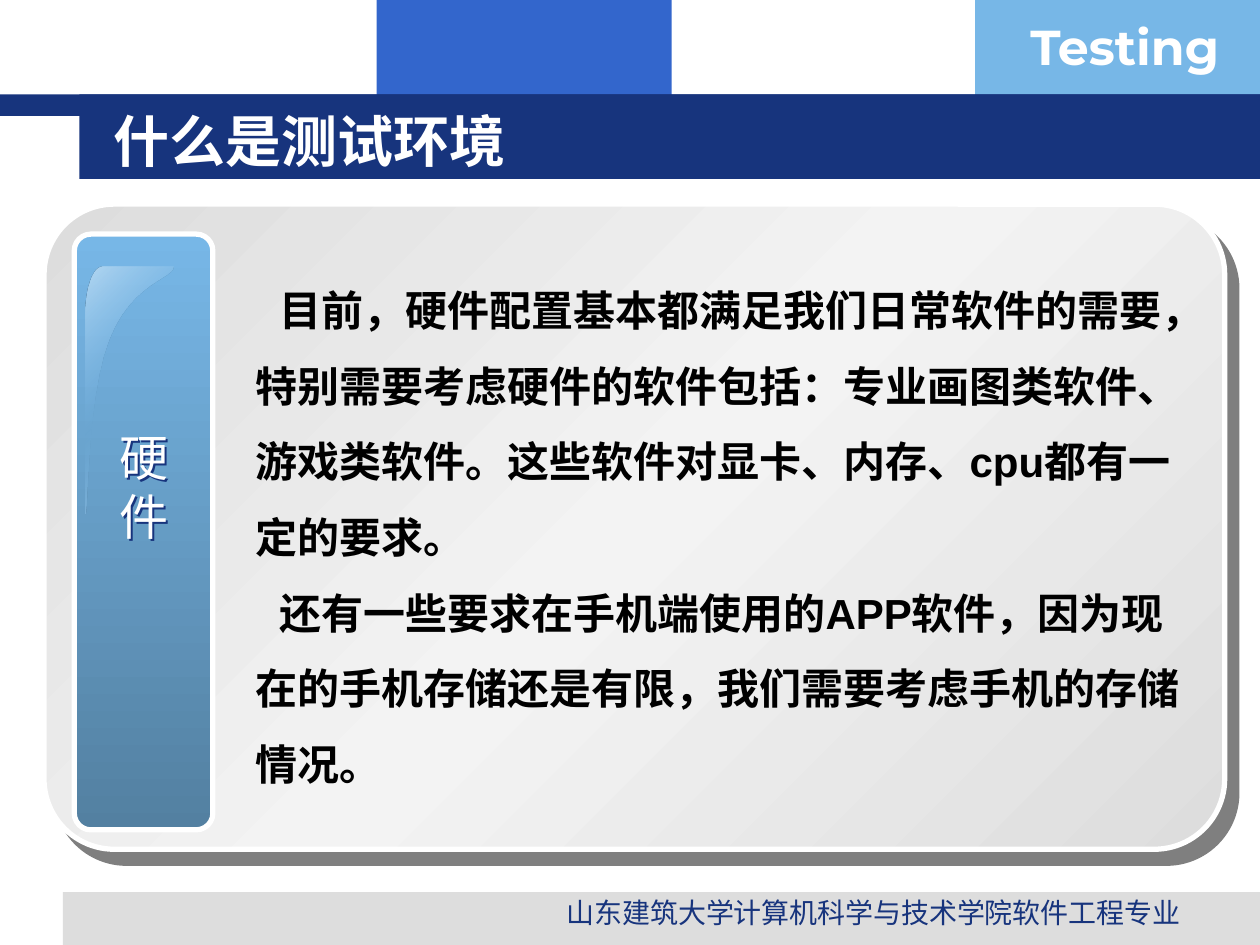
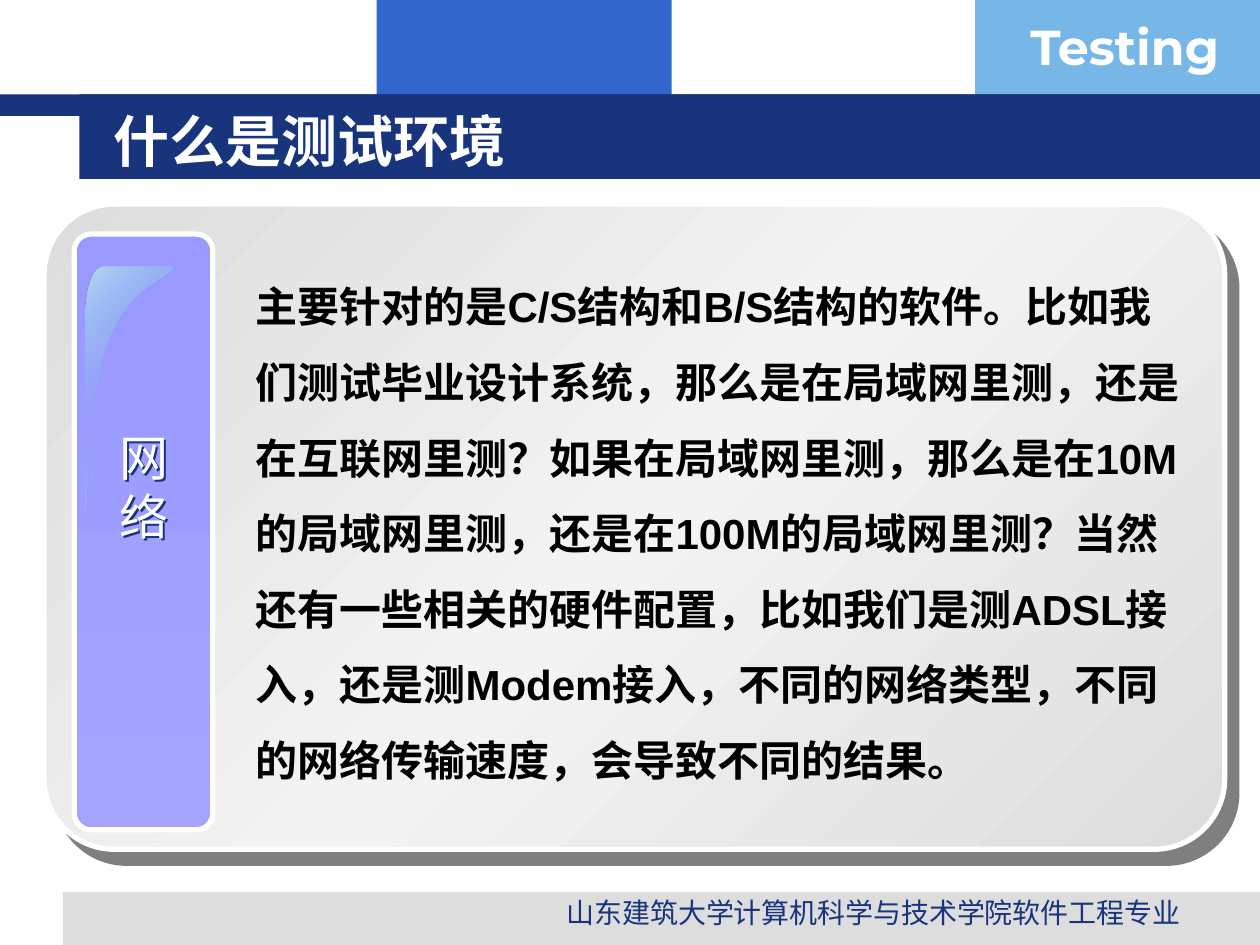
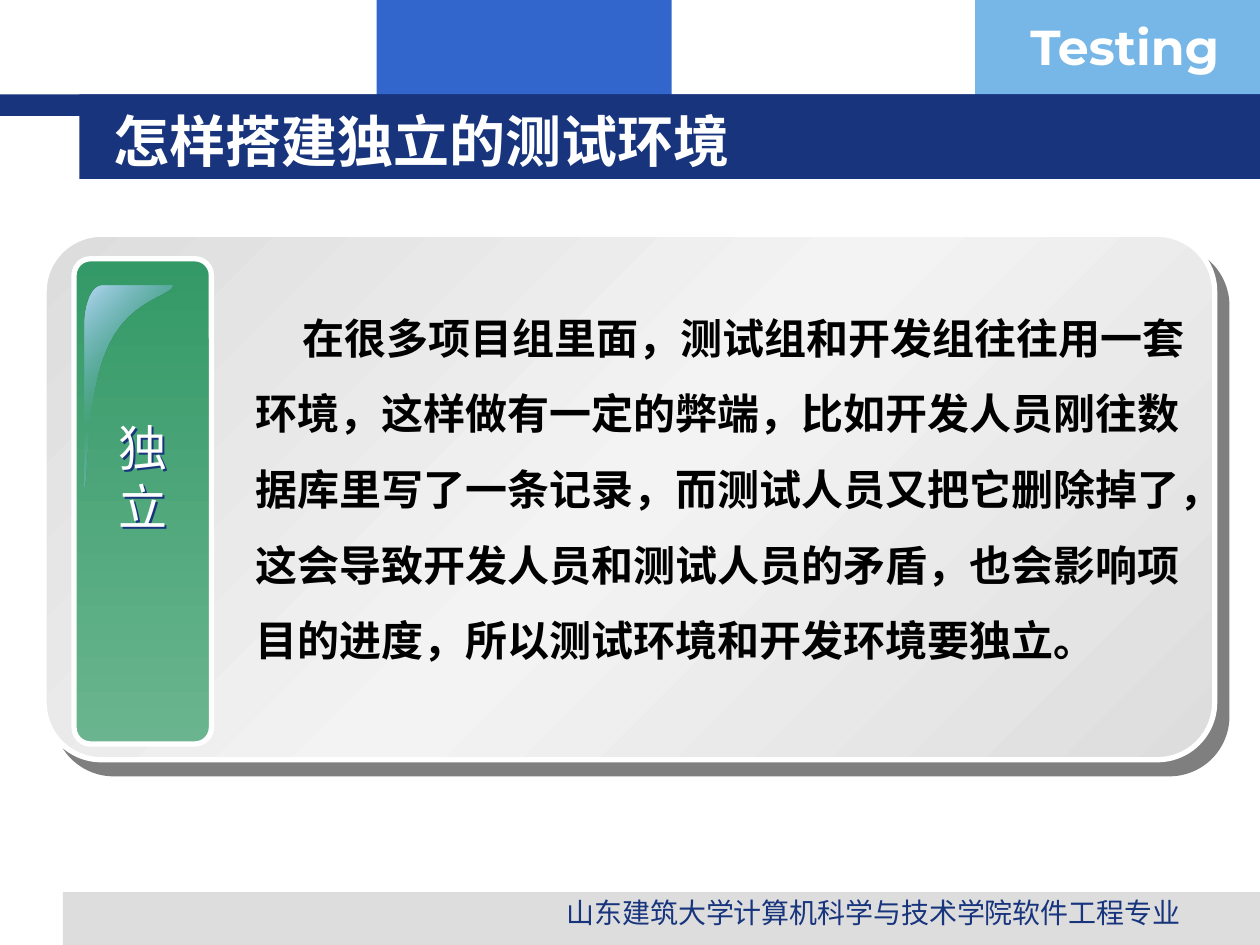
from collections import namedtuple

from lxml import etree
from pptx import Presentation
from pptx.dml.color import RGBColor
from pptx.enum.shapes import MSO_SHAPE
from pptx.enum.text import MSO_ANCHOR, PP_ALIGN
from pptx.oxml.ns import qn
from pptx.util import Inches, Pt

RECTANGLE, ROUNDED = MSO_SHAPE.RECTANGLE, MSO_SHAPE.ROUNDED_RECTANGLE
LEFT, CENTER = PP_ALIGN.LEFT, PP_ALIGN.CENTER
TOP, MIDDLE = MSO_ANCHOR.TOP, MSO_ANCHOR.MIDDLE

NAVY = RGBColor(0x17, 0x34, 0x7D)
BLUE = RGBColor(0x33, 0x66, 0xCC)
SKY = RGBColor(0x77, 0xB7, 0xE7)
SKY_DARK = RGBColor(0x53, 0x80, 0xA1)
SKY_LIGHT = RGBColor(0xB5, 0xD8, 0xF2)
VIOLET = RGBColor(0x99, 0x99, 0xFF)
VIOLET_LIGHT = RGBColor(0xA4, 0xA4, 0xFF)
GREEN = RGBColor(0x33, 0x99, 0x66)
GREEN_LIGHT = RGBColor(0x6A, 0xB5, 0x8F)
GRAY = RGBColor(0xDD, 0xDD, 0xDD)
GRAY_LIGHT = RGBColor(0xF3, 0xF3, 0xF3)
WHITE = RGBColor(0xFF, 0xFF, 0xFF)
BLACK = RGBColor(0, 0, 0)

BODY_FONT, TITLE_FONT, BRAND_FONT = "Arial", "DejaVu Sans", "Montserrat"
FOOTER = "山东建筑大学计算机科学与技术学院软件工程专业"

Box = namedtuple("Box", "left top width height")
Style = namedtuple("Style", "size font color bold", defaults=(False,))
BODY_STYLE = Style(24, BODY_FONT, BLACK, True)
LABEL_STYLE = Style(28, BODY_FONT, WHITE)

BANDS = [
    (Box(2.99, 0, 2.34, 0.92), BLUE),
    (Box(7.74, 0, 2.26, 0.92), SKY),
    (Box(0.5, 7.08, 9.5, 0.42), GRAY),
    (Box(0, 0.75, 10, 0.17), NAVY),
    (Box(0.63, 0.75, 9.37, 0.67), NAVY),
]

# Panel parts as fractions of the panel box
BAR_PART = Box(0.03, 0.05, 0.12, 0.92)._replace(left=0.0256, top=0.0465, width=0.1174, height=0.9235)
GLOSS_PART = Box(0.035, 0.097, 0.0755, 0.392)
LABEL_PART = Box(0.051, 0.337, 0.067, 0.2)

# Gloss outline as fractions of its box: one point is a line, three are a curve
GLOSS_START = (0.2, 0)
GLOSS_PIECES = [
    [(0.08, 0), (0, 0.09), (0, 0.19)],
    [(0, 0.98)],
    [(0.04, 1), (0.01, 0.52), (0.27, 0.29)],
    [(0.52, 0.06), (1, 0.05), (0.99, 0)],
]
CURVE_STEPS = 12

SLIDES = [
    dict(
        title="什么是测试环境", label="硬件", colors=(SKY, SKY_DARK),
        panel=Box(0.35, 1.62, 9.37, 5.12), body=Box(1.93, 2.01, 7.72, 4.3), indent=0.19,
        paragraphs=[
            "目前，硬件配置基本都满足我们日常软件的需要，特别需要考虑硬件的软件包括："
            "专业画图类软件、游戏类软件。这些软件对显卡、内存、cpu都有一定的要求。",
            "还有一些要求在手机端使用的APP软件，因为现在的手机存储还是有限，"
            "我们需要考虑手机的存储情况。",
        ],
    ),
    dict(
        title="什么是测试环境", label="网络", colors=(VIOLET, VIOLET_LIGHT),
        panel=Box(0.35, 1.62, 9.37, 5.12), body=Box(1.93, 1.98, 7.64, 4.3), indent=0,
        paragraphs=[
            "主要针对的是C/S结构和B/S结构的软件。比如我们测试毕业设计系统，"
            "那么是在局域网里测，还是在互联网里测？如果在局域网里测，"
            "那么是在10M的局域网里测，还是在100M的局域网里测？"
            "当然还有一些相关的硬件配置，比如我们是测ADSL接入，还是测Modem接入，"
            "不同的网络类型，不同的网络传输速度，会导致不同的结果。",
        ],
    ),
    dict(
        title="怎样搭建独立的测试环境", label="独立", colors=(GREEN, GREEN_LIGHT),
        panel=Box(0.35, 1.86, 9.29, 4.17), body=Box(1.93, 2.23, 7.64, 3.1), indent=0.37,
        paragraphs=[
            "在很多项目组里面，测试组和开发组往往用一套环境，这样做有一定的弊端，"
            "比如开发人员刚往数据库里写了一条记录，而测试人员又把它删除掉了，"
            "这会导致开发人员和测试人员的矛盾，也会影响项目的进度，"
            "所以测试环境和开发环境要独立。",
        ],
    ),
]


def inches(box):
    return [Inches(length) for length in box]


def part_of(box, part):
    return Box(box.left + part.left * box.width, box.top + part.top * box.height,
               part.width * box.width, part.height * box.height)


def add_color(parent, color, alpha):
    element = etree.SubElement(parent, qn("a:srgbClr"), val=str(color))
    if alpha < 100:
        etree.SubElement(element, qn("a:alpha"), val=str(alpha * 1000))


def set_gradient(shape, stops, angle):
    """Fill with stops of (position, colour, opacity), both in percent."""
    shape.fill.background()
    properties = shape._element.spPr
    gradient = etree.Element(qn("a:gradFill"), rotWithShape="1")
    stop_list = etree.SubElement(gradient, qn("a:gsLst"))
    for position, color, alpha in stops:
        stop = etree.SubElement(stop_list, qn("a:gs"), pos=str(position * 1000))
        add_color(stop, color, alpha)
    etree.SubElement(gradient, qn("a:lin"), ang=str(angle * 60000), scaled="0")
    properties.replace(properties.find(qn("a:noFill")), gradient)


def set_shadow(shape, color, alpha, distance, angle):
    shape.shadow.inherit = False
    effects = shape._element.spPr.find(qn("a:effectLst"))
    shadow = etree.SubElement(effects, qn("a:outerShdw"), blurRad="0",
                              dist=str(Pt(distance)), dir=str(angle * 60000),
                              algn="ctr", rotWithShape="0")
    add_color(shadow, color, alpha)


def add_band(slide, box, color):
    band = slide.shapes.add_shape(RECTANGLE, *inches(box))
    band.shadow.inherit = False
    band.fill.solid()
    band.fill.fore_color.rgb = color
    band.line.fill.background()


def add_text(slide, box, texts, style, align=LEFT, anchor=TOP, spacing=None, indent=0):
    shape = slide.shapes.add_textbox(*inches(box))
    frame = shape.text_frame
    frame.word_wrap = True
    frame.vertical_anchor = anchor
    for index, text in enumerate(texts):
        paragraph = frame.paragraphs[0] if index == 0 else frame.add_paragraph()
        paragraph.alignment = align
        if spacing:
            paragraph.line_spacing = spacing
        if indent:
            paragraph._p.get_or_add_pPr().set("indent", str(Inches(indent)))
        run = paragraph.add_run()
        run.text = text
        run.font.size = Pt(style.size)
        run.font.name = style.font
        run.font.bold = style.bold
        run.font.color.rgb = style.color
    return shape


def add_rounded(slide, box, radius, stops, angle):
    shape = slide.shapes.add_shape(ROUNDED, *inches(box))
    shape.adjustments[0] = radius
    shape.shadow.inherit = False
    set_gradient(shape, stops, angle)
    shape.line.color.rgb = WHITE
    shape.line.width = Pt(3)
    return shape


def curve_points(start, first, second, end):
    """Points along a cubic Bézier curve, without its start."""
    for step in range(1, CURVE_STEPS + 1):
        t = step / CURVE_STEPS
        weights = ((1 - t) ** 3, 3 * t * (1 - t) ** 2, 3 * t ** 2 * (1 - t), t ** 3)
        yield tuple(sum(weight * point[axis] for weight, point
                        in zip(weights, (start, first, second, end))) for axis in (0, 1))


def add_gloss(slide, box):
    points = [GLOSS_START]
    for piece in GLOSS_PIECES:
        points.extend(piece if len(piece) == 1 else list(curve_points(points[-1], *piece)))
    places = [(Inches(box.left + x * box.width), Inches(box.top + y * box.height))
              for x, y in points]
    builder = slide.shapes.build_freeform(*places[0])
    builder.add_line_segments(places[1:], close=True)
    gloss = builder.convert_to_shape()
    gloss.shadow.inherit = False
    set_gradient(gloss, [(0, SKY_LIGHT, 100), (50, SKY, 0), (100, SKY_LIGHT, 100)], 45)
    gloss.line.fill.background()


def add_frame(slide, title):
    """Bands, brand word, footer and title."""
    for box, color in BANDS:
        add_band(slide, box, color)
    add_text(slide, Box(8.08, 0.08, 1.93, 0.57), ["Testing"],
             Style(28, BRAND_FONT, WHITE, True))
    add_text(slide, Box(4.06, 7.06, 5.75, 0.31), [FOOTER],
             Style(16, BODY_FONT, NAVY), align=CENTER)
    add_text(slide, Box(0.8, 0.8, 8.53, 0.62), [title],
             Style(32, TITLE_FONT, WHITE, True), anchor=MIDDLE)


def add_panel(slide, box, label, colors):
    """Gray panel with a glossy label bar at its left."""
    panel = add_rounded(slide, box, 0.109,
                        [(0, GRAY, 100), (50, GRAY_LIGHT, 100), (100, GRAY, 100)], 45)
    set_shadow(panel, BLACK, 50, 10.6, 49)
    add_rounded(slide, part_of(box, BAR_PART), 0.12,
                [(0, colors[0], 100), (100, colors[1], 100)], 90)
    add_gloss(slide, part_of(box, GLOSS_PART))
    label_box = part_of(box, LABEL_PART)._replace(height=1.04)
    label_shape = add_text(slide, label_box, [label], LABEL_STYLE, align=CENTER)
    set_shadow(label_shape, NAVY, 100, 1.4, 45)


def add_topic_slide(presentation, title, label, colors, panel, body, indent, paragraphs):
    slide = presentation.slides.add_slide(presentation.slide_layouts[6])
    add_frame(slide, title)
    add_panel(slide, panel, label, colors)
    add_text(slide, body, paragraphs, BODY_STYLE, spacing=1.5, indent=indent)


def main():
    presentation = Presentation()
    presentation.slide_width, presentation.slide_height = Inches(10), Inches(7.5)
    for topic in SLIDES:
        add_topic_slide(presentation, **topic)
    presentation.save("out.pptx")


if __name__ == "__main__":
    main()
